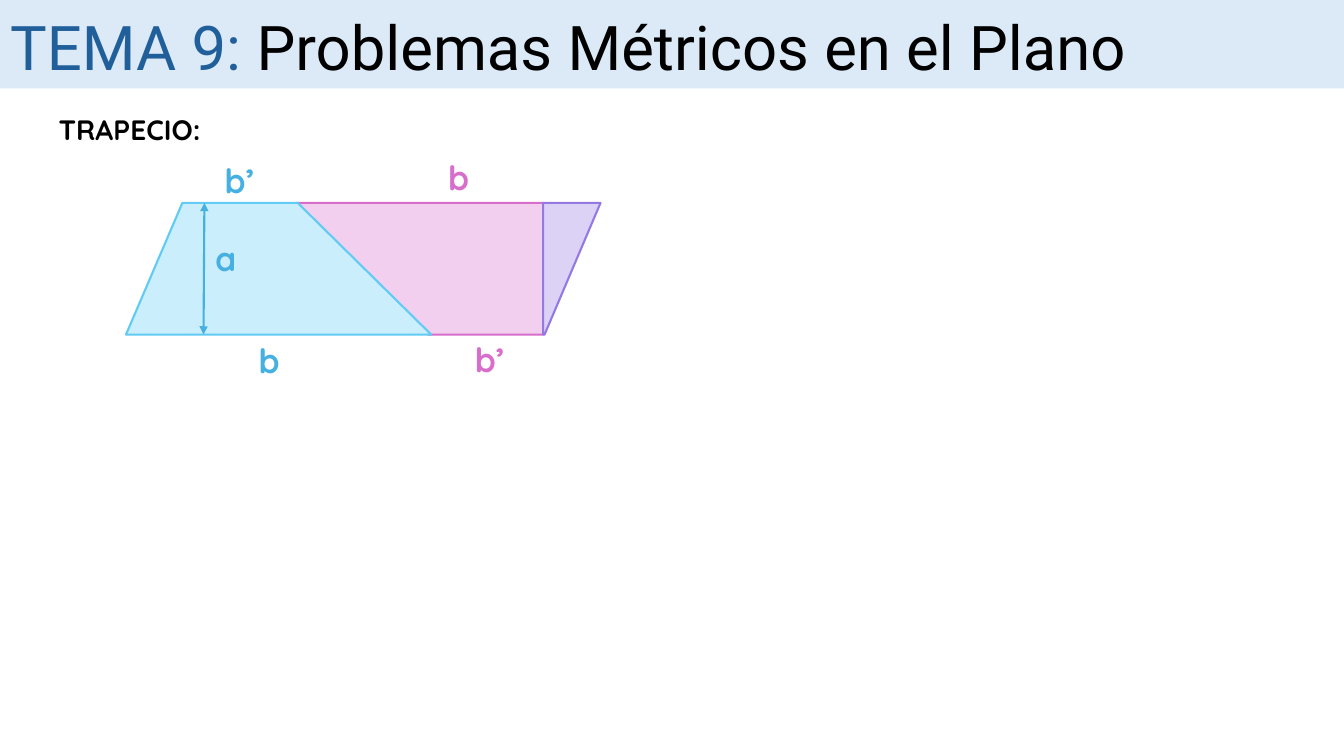
from dataclasses import dataclass

from lxml import etree
from pptx import Presentation
from pptx.dml.color import RGBColor
from pptx.enum.shapes import MSO_CONNECTOR, MSO_SHAPE
from pptx.enum.text import MSO_ANCHOR, MSO_AUTO_SIZE, PP_ALIGN
from pptx.oxml.ns import qn
from pptx.util import Pt

RECTANGLE = MSO_SHAPE.RECTANGLE
STRAIGHT = MSO_CONNECTOR.STRAIGHT
TOP = MSO_ANCHOR.TOP
GROW, NO_FIT = MSO_AUTO_SIZE.SHAPE_TO_FIT_TEXT, MSO_AUTO_SIZE.NONE
LEFT, CENTER = PP_ALIGN.LEFT, PP_ALIGN.CENTER
TITLE_ONLY = 5


@dataclass(frozen=True)
class Theme:
    black: str = "000000"
    band: str = "DCEAF7"
    title_blue: str = "215F9A"
    label_blue: str = "46B1E1"
    blue_fill: str = "CAEEFB"
    blue_line: str = "61CBF4"
    pink_fill: str = "F2CFEE"
    pink: str = "D86ECC"
    purple_fill: str = "DBD2F6"
    purple_line: str = "9579E3"
    title_font: str = "Roboto"
    body_font: str = "Quicksand"
    title_size: float = 44
    heading_size: float = 20
    label_size: float = 24
    line_width: float = 1.5


def color(value):
    return RGBColor.from_string(value)


def write(box, *spans, font, size, bold=False, align=LEFT, fit=GROW):
    """Fill the box with one paragraph of (text, colour) spans."""
    frame = box.text_frame
    frame.word_wrap = True
    frame.auto_size = fit
    frame.vertical_anchor = TOP
    para = frame.paragraphs[0]
    para.alignment = align
    for text, ink in spans:
        span = para.add_run()
        span.text = text
        span.font.name = font
        span.font.size = Pt(size)
        span.font.bold = bold
        span.font.color.rgb = color(ink)


class SlideBuilder:
    def __init__(self, page, theme):
        self.page = page
        self.theme = theme

    def title(self, left, top, width, height, *spans):
        box = self.page.shapes.title
        box.left, box.top, box.width, box.height = map(Pt, (left, top, width, height))
        write(box, *spans, font=self.theme.title_font, size=self.theme.title_size, fit=NO_FIT)

    def band(self, width, height):
        """Draw the strip behind the title."""
        strip = self.page.shapes.add_shape(RECTANGLE, 0, 0, Pt(width), Pt(height))
        strip.shadow.inherit = False
        strip.fill.solid()
        strip.fill.fore_color.rgb = color(self.theme.band)
        strip.line.fill.background()
        self.page.shapes.title.element.addprevious(strip.element)

    def text(self, left, top, width, height, text, ink, size, align=LEFT):
        box = self.page.shapes.add_textbox(Pt(left), Pt(top), Pt(width), Pt(height))
        write(box, (text, ink), font=self.theme.body_font, size=size, bold=True, align=align)

    def label(self, left, top, text, ink):
        self.text(left, top, 44.6, 36, text, ink, self.theme.label_size, CENTER)

    def polygon(self, corners, fill, line):
        points = [(Pt(x), Pt(y)) for x, y in corners]
        builder = self.page.shapes.build_freeform(*points[0])
        builder.add_line_segments(points[1:], close=True)
        shape = builder.convert_to_shape()
        shape.shadow.inherit = False
        shape.fill.solid()
        shape.fill.fore_color.rgb = color(fill)
        shape.line.color.rgb = color(line)
        shape.line.width = Pt(self.theme.line_width)

    def double_arrow(self, start, end, ink):
        arrow = self.page.shapes.add_connector(STRAIGHT, *map(Pt, (*start, *end)))
        arrow.line.color.rgb = color(ink)
        arrow.line.width = Pt(self.theme.line_width)
        outline = arrow.line._get_or_add_ln()
        for end_name in ("a:headEnd", "a:tailEnd"):
            etree.SubElement(outline, qn(end_name), type="triangle")
        etree.SubElement(arrow.element.spPr, qn("a:effectLst"))


def main():
    deck = Presentation()
    deck.slide_width, deck.slide_height = Pt(960), Pt(540)
    theme = Theme()
    page = deck.slides.add_slide(deck.slide_layouts[TITLE_ONLY])
    slide = SlideBuilder(page, theme)

    slide.band(960, 63.2)
    slide.title(0, 2.9, 931, 60.5,
                ("TEMA 9: ", theme.title_blue),
                ("Problemas Métricos en el Plano", theme.black))
    slide.text(34.8, 77, 210, 31.5, "TRAPECIO:", theme.black, theme.heading_size)

    top, base = 144.9, 239
    slide.polygon([(211.2, top), (388, top), (388, base), (306, base)],
                  theme.pink_fill, theme.pink)
    slide.polygon([(388, base), (388, top), (429, top), (389, base)],
                  theme.purple_fill, theme.purple_line)
    slide.polygon([(90, base), (130.3, top), (212.6, top), (308, base)],
                  theme.blue_fill, theme.blue_line)
    slide.double_arrow((146, top), (145.4, base), theme.label_blue)

    for left, label_top, text, ink in (
        (169.9, 239.2, "b", theme.label_blue),
        (149, 110.9, "b’", theme.label_blue),
        (305.3, 108.7, "b", theme.pink),
        (327.6, 238.5, "b’", theme.pink),
        (139, 166.3, "a", theme.label_blue),
    ):
        slide.label(left, label_top, text, ink)

    deck.save("out.pptx")


if __name__ == "__main__":
    main()
